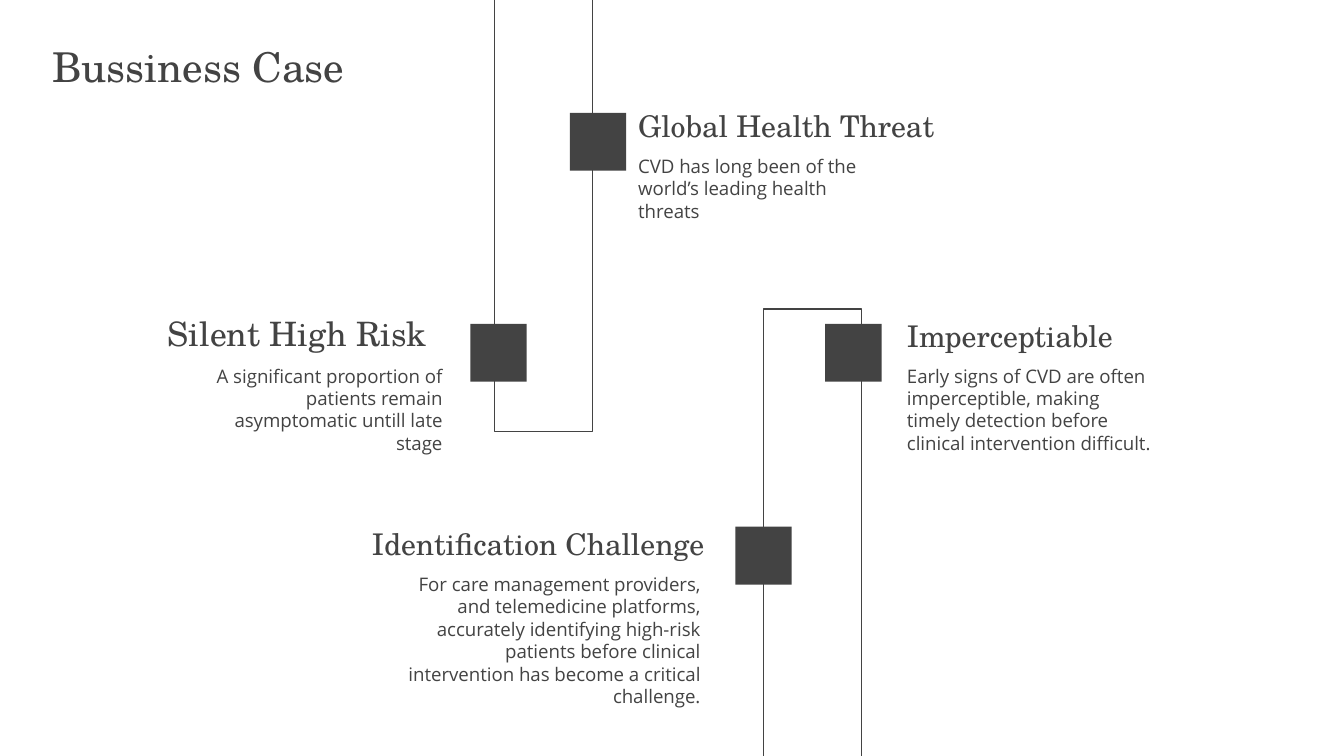
from pptx import Presentation
from pptx.dml.color import RGBColor
from pptx.enum.shapes import MSO_SHAPE
from pptx.enum.text import MSO_ANCHOR, PP_ALIGN
from pptx.util import Pt

RECTANGLE = MSO_SHAPE.RECTANGLE
TOP, BOTTOM = MSO_ANCHOR.TOP, MSO_ANCHOR.BOTTOM
LEFT, RIGHT = PP_ALIGN.LEFT, PP_ALIGN.RIGHT

COLORS = {"ink": "434343", "background": "FFFFFF"}
HEADING_FONT, BODY_FONT = "TeX Gyre Schola", "Open Sans"
INSET = 7.2
HEADING_HEIGHT, BODY_OFFSET, BODY_HEIGHT = 31, 22.4, 66.2
MARKER_WIDTH, MARKER_HEIGHT = 30.2, 31


def rgb(name):
    return RGBColor.from_string(COLORS[name])


def add_text(slide, box, text, font, size, align=LEFT, anchor=TOP):
    text_box = slide.shapes.add_textbox(*(Pt(v) for v in box))
    frame = text_box.text_frame
    frame.word_wrap = True
    frame.vertical_anchor = anchor
    frame.margin_left = frame.margin_right = Pt(INSET)
    frame.margin_top = frame.margin_bottom = Pt(INSET)
    paragraph = frame.paragraphs[0]
    paragraph.alignment = align
    run = paragraph.add_run()
    run.text = text
    run.font.name = font
    run.font.size = Pt(size)
    run.font.color.rgb = rgb("ink")


def add_rectangle(slide, box):
    rectangle = slide.shapes.add_shape(RECTANGLE, *(Pt(v) for v in box))
    rectangle.shadow.inherit = False
    return rectangle


def add_track(slide, box, marker_offsets):
    """Outlined track with solid markers placed from its top left corner."""
    track = add_rectangle(slide, box)
    track.fill.background()
    track.line.color.rgb = rgb("ink")
    track.line.width = Pt(0.75)
    for dx, dy in marker_offsets:
        marker = add_rectangle(
            slide, (box[0] + dx, box[1] + dy, MARKER_WIDTH, MARKER_HEIGHT))
        marker.fill.solid()
        marker.fill.fore_color.rgb = rgb("ink")
        marker.line.fill.background()


def add_point(slide, box, heading, body, align=LEFT, heading_size=16,
              heading_width=184.3, heading_shift=0):
    """Heading above body; the heading shares the aligned edge of the box."""
    left, top, width, height = box
    heading_left = left + heading_shift
    if align == RIGHT:
        heading_left += width - heading_width
    add_text(slide, (heading_left, top, heading_width, HEADING_HEIGHT),
             heading, HEADING_FONT, heading_size, align, BOTTOM)
    add_text(slide, (left, top + BODY_OFFSET, width, height - BODY_OFFSET),
             body, BODY_FONT, 10, align)


def build_business_case(slide):
    # Tracks running off the top and bottom edges
    add_track(slide, (265, -6.5, 52.6, 237.6), [(40.3, 67), (-13, 180)])
    add_track(slide, (409, 165.6, 52.6, 244.8), [(33.1, 7.9), (-15.1, 116.6)])

    # Points beside the markers
    point_height = BODY_OFFSET + BODY_HEIGHT
    add_point(slide, (334.8, 53.3, 148.3, point_height),
              "Global Health Threat",
              "CVD has long been of the world’s leading health threats")
    add_point(slide, (95.8, 165.6, 148.3, point_height),
              "Silent High Risk",
              "A significant proportion of patients remain asymptomatic "
              "untill late stage",
              RIGHT, heading_size=18, heading_shift=-8.5)
    add_point(slide, (478.8, 165.6, 148.3, point_height),
              "Imperceptiable",
              "Early signs of CVD are often imperceptible, making timely "
              "detection before clinical intervention difficult.")
    add_point(slide, (205.2, 277.2, 177.1, point_height),
              "Identification Challenge",
              "For care management providers, and telemedicine platforms, "
              "accurately identifying high-risk patients before clinical "
              "intervention has become a critical challenge.",
              RIGHT, heading_width=199.4, heading_shift=2.2)

    # Slide title
    add_text(slide, (20.9, 15.1, 204.5, 74.2), "Bussiness Case",
             HEADING_FONT, 22)


def main():
    presentation = Presentation()
    presentation.slide_width = Pt(720)
    presentation.slide_height = Pt(405)
    slide = presentation.slides.add_slide(presentation.slide_layouts[6])
    slide.background.fill.solid()
    slide.background.fill.fore_color.rgb = rgb("background")
    build_business_case(slide)
    presentation.save("out.pptx")


if __name__ == "__main__":
    main()
